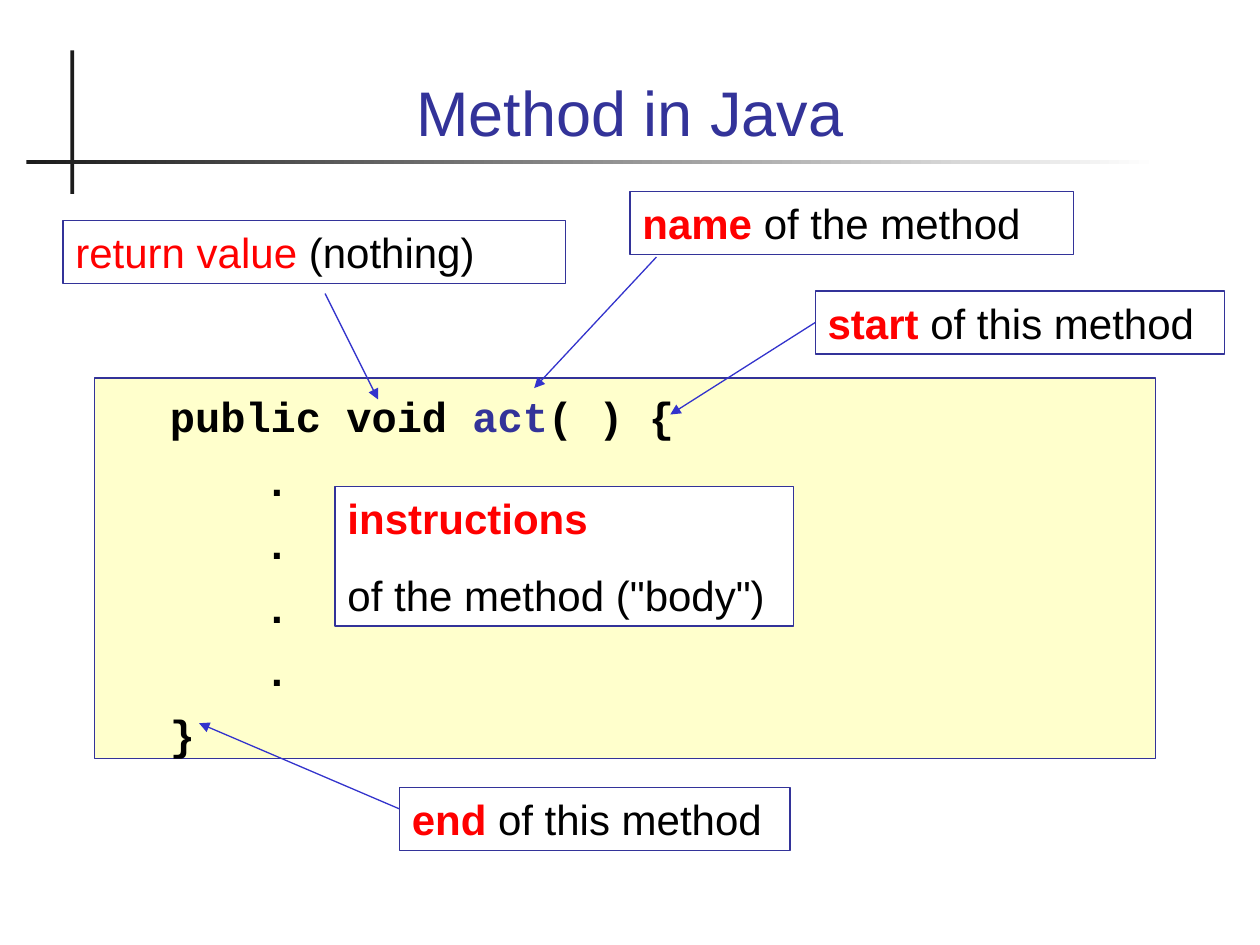
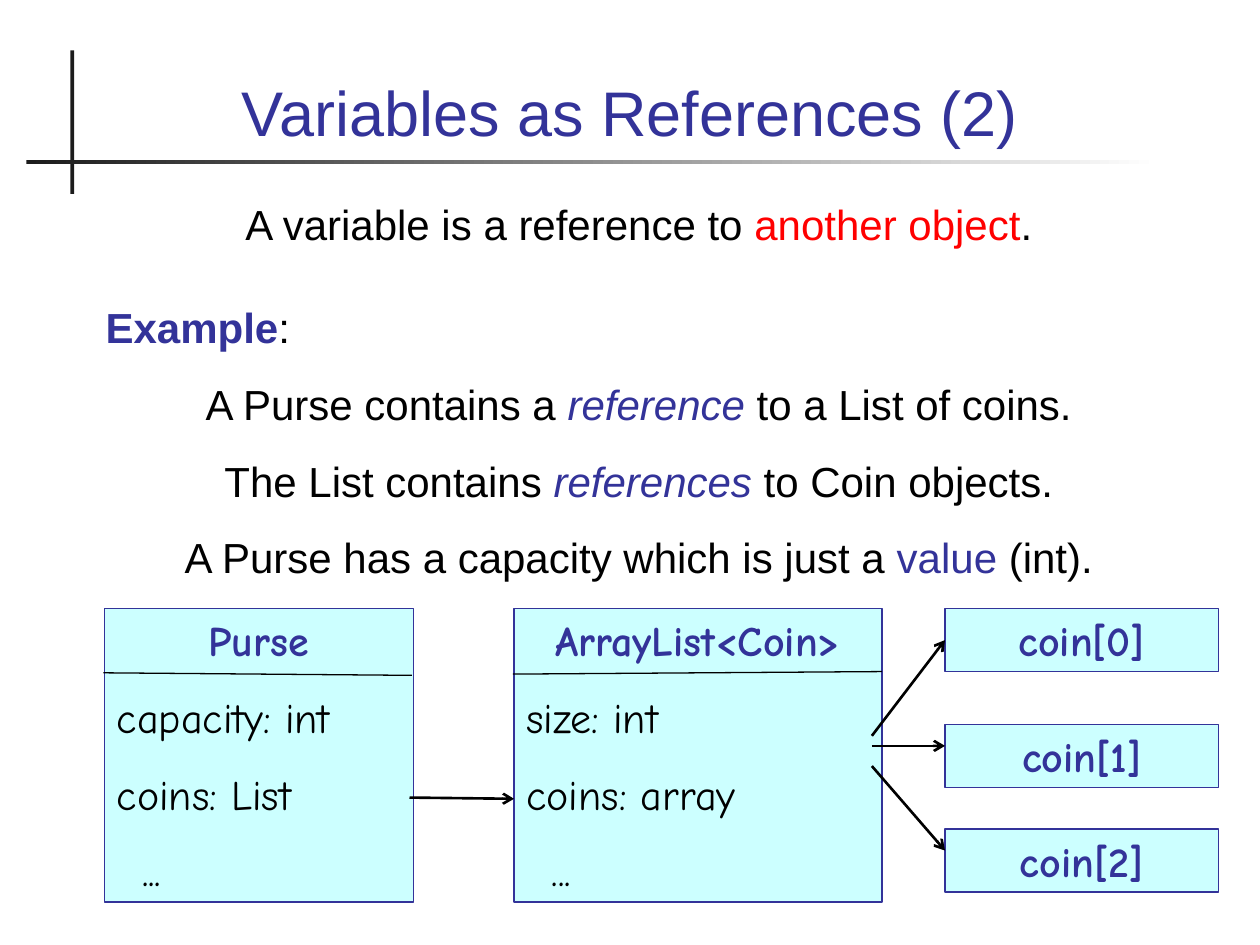
from dataclasses import dataclass

from lxml import etree
from pptx import Presentation
from pptx import util as u
from pptx.dml.color import RGBColor
from pptx.enum import shapes, text
from pptx.oxml.ns import qn

NAVY, ARROW_BLUE, BLACK, RED = "333399", "3333CC", "000000", "FF0000"
DARK, WHITE, CREAM, CYAN = "1C1C1C", "FFFFFF", "FFFFCC", "CCFFFF"
SANS, MONO, COMIC = "Arial", "Courier New", "Comic Neue"
LEFT, CENTER = text.PP_ALIGN.LEFT, text.PP_ALIGN.CENTER


@dataclass
class Run:
    text: str
    color: str = BLACK
    bold: bool = False
    italic: bool = False


@dataclass
class Line:
    runs: list
    align: int = LEFT
    indent: float = 0
    before: float = 15


def rgb(hex_color):
    return RGBColor.from_string(hex_color)


def write(shape, lines, font=SANS, size=24, spacing=28.8, margin_top=0.05,
          anchor=text.MSO_ANCHOR.TOP):
    """Fill a shape with lines; spacing is the line height in points."""
    frame = shape.text_frame
    frame.word_wrap = True
    frame.vertical_anchor = anchor
    frame.margin_left = frame.margin_right = u.Inches(0.1)
    frame.margin_top, frame.margin_bottom = u.Inches(margin_top), u.Inches(0.05)
    for index, line in enumerate(lines):
        paragraph = frame.add_paragraph() if index else frame.paragraphs[0]
        paragraph.alignment = line.align
        paragraph.space_before = u.Pt(line.before if index else 0)
        if spacing:
            paragraph.line_spacing = u.Pt(spacing)
        if line.indent:
            properties = paragraph._p.get_or_add_pPr()
            properties.set("marL", str(u.Inches(line.indent)))
        for part in line.runs:
            run = paragraph.add_run()
            run.text = part.text
            run.font.name, run.font.size = font, u.Pt(size)
            run.font.bold, run.font.italic = part.bold, part.italic
            run.font.color.rgb = rgb(part.color)


class Deck:
    """Holds the shared style and the slide being built."""

    def __init__(self):
        self.presentation = Presentation()
        self.presentation.slide_width = u.Inches(10)
        self.presentation.slide_height = u.Inches(7.5)
        self.slide = None

    def add_slide(self, title):
        layout = self.presentation.slide_layouts[6]
        self.slide = self.presentation.slides.add_slide(layout)
        self.box(0.56, 0.4, 0.03, 1.14, fill=DARK, line=None)
        rule = self.box(0.21, 1.27, 8.99, 0.03, line=None)
        rule.fill.gradient()
        rule.fill.gradient_angle = 0
        for stop, color, position in zip(rule.fill.gradient_stops, (DARK, WHITE), (0, 1)):
            stop.color.rgb, stop.position = rgb(color), position
        self.text_box(0.67, 0.28, 8.66, 0.95, [Line([Run(title, NAVY)], CENTER)],
                      size=36, spacing=None, anchor=text.MSO_ANCHOR.BOTTOM)

    def text_box(self, left, top, width, height, lines, **text_format):
        box = self.slide.shapes.add_textbox(*map(u.Inches, (left, top, width, height)))
        write(box, lines, **text_format)

    def box(self, left, top, width, height, lines=(), fill=None, line=NAVY, **text_format):
        shape = self.slide.shapes.add_shape(
            shapes.MSO_SHAPE.RECTANGLE, *map(u.Inches, (left, top, width, height)))
        shape.shadow.inherit = False
        if fill:
            shape.fill.solid()
            shape.fill.fore_color.rgb = rgb(fill)
        else:
            shape.fill.background()
        if line:
            shape.line.color.rgb = rgb(line)
            shape.line.width = u.Pt(0.75)
        else:
            shape.line.fill.background()
        if lines:
            write(shape, lines, **text_format)
        return shape

    def connector(self, start, end, color=BLACK, width=0.75, head=None):
        connector = self.slide.shapes.add_connector(
            shapes.MSO_CONNECTOR.STRAIGHT, *map(u.Inches, (*start, *end)))
        connector.line.color.rgb = rgb(color)
        connector.line.width = u.Pt(width)
        if head:
            outline = connector.line._get_or_add_ln()
            etree.SubElement(outline, qn("a:tailEnd"), type=head)
        etree.SubElement(connector._element.spPr, qn("a:effectLst"))
        return connector

    def class_box(self, left, width, name, fields):
        lines = [Line([Run(name, NAVY, bold=True)], CENTER)]
        lines += [Line([Run(field)]) for field in fields]
        lines.append(Line([Run("...")], indent=0.2))
        self.box(left, 4.83, width, 2.33, lines, CYAN, font=COMIC)


def build_method_slide(deck):
    deck.add_slide("Method in Java")
    signature = [Run("public void ", bold=True), Run("act", NAVY, bold=True),
                 Run("( ) {", bold=True)]
    code = [Line(signature, indent=0.5)]
    code += [Line([Run(".", bold=True)], indent=1.25, before=7.5) for _ in range(4)]
    code.append(Line([Run("}", bold=True)], indent=0.5, before=7.5))
    deck.box(0.75, 3, 8.42, 3.02, code, CREAM, font=MONO, margin_top=0.1)

    callouts = [
        (5, 1.52, 3.52, "name", " of the method", True, (5.21, 2.04), (4.24, 3.08)),
        (0.5, 1.75, 3.99, "return value", " (nothing)", False, (2.58, 2.33), (3, 3.17)),
        (3.17, 6.25, 3.1, "end", " of this method", True, (3.17, 6.42), (1.58, 5.74)),
        (6.47, 2.31, 3.25, "start", " of this method", True, (6.47, 2.56), (5.32, 3.29)),
    ]
    for left, top, width, term, rest, bold, start, end in callouts:
        label = deck.box(left, top, width, 0.5, [Line([Run(term, RED, bold), Run(rest)])])
        arrow = deck.connector(start, end, ARROW_BLUE, head="triangle")
        if start == (left, round(top + 0.25, 2)):
            arrow.begin_connect(label, 1)
    deck.box(2.66, 3.86, 3.64, 1.11,
             [Line([Run("instructions", RED, bold=True)]),
              Line([Run('of the method ("body")')])], WHITE)


def build_references_slide(deck):
    deck.add_slide("Variables as References (2)")
    deck.text_box(0.74, 1.53, 8.66, 3.25, [
        Line([Run("A variable is a reference to "), Run("another object", RED), Run(".")], CENTER),
        Line([Run("Example", NAVY, bold=True), Run(":")], before=30),
        Line([Run("A Purse contains a "), Run("reference", NAVY, italic=True),
              Run(" to a List of coins.")], CENTER),
        Line([Run("The List contains "), Run("references", NAVY, italic=True),
              Run(" to Coin objects.")], CENTER),
        Line([Run("A Purse has a capacity which is just a "), Run("value", NAVY),
              Run(" (int).")], CENTER),
    ])
    deck.class_box(0.83, 2.45, "Purse", ["capacity: int", "coins: List"])
    deck.connector((0.82, 5.34), (3.27, 5.36))
    deck.class_box(4.08, 2.92, "ArrayList<Coin>", ["size: int", "coins: array"])
    deck.connector((4.07, 5.35), (7, 5.33))
    deck.connector((3.25, 6.33), (4.08, 6.34), width=1.5, head="arrow")

    coins = [(4.83, 5.84, 5.08), (5.75, 5.92, 5.92), (6.58, 6.08, 6.75)]
    for index, (top, start_y, end_y) in enumerate(coins):
        coin = deck.box(7.5, top, 2.17, 0.5,
                        [Line([Run(f"coin[{index}]", NAVY, bold=True)], CENTER)],
                        CYAN, font=COMIC)
        arrow = deck.connector((6.92, start_y), (7.5, end_y), width=1.5, head="arrow")
        if index == 0:
            arrow.end_connect(coin, 1)


def main():
    deck = Deck()
    build_method_slide(deck)
    build_references_slide(deck)
    deck.presentation.save("out.pptx")


if __name__ == "__main__":
    main()
